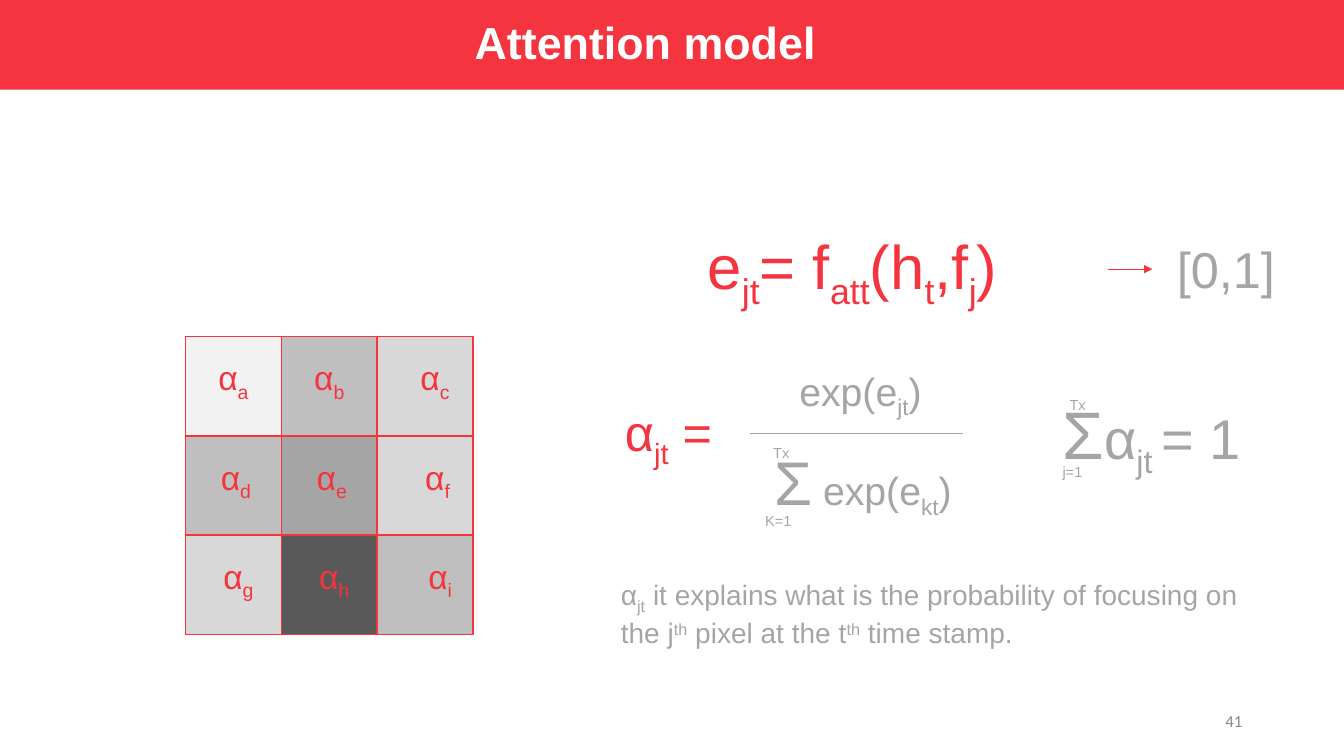
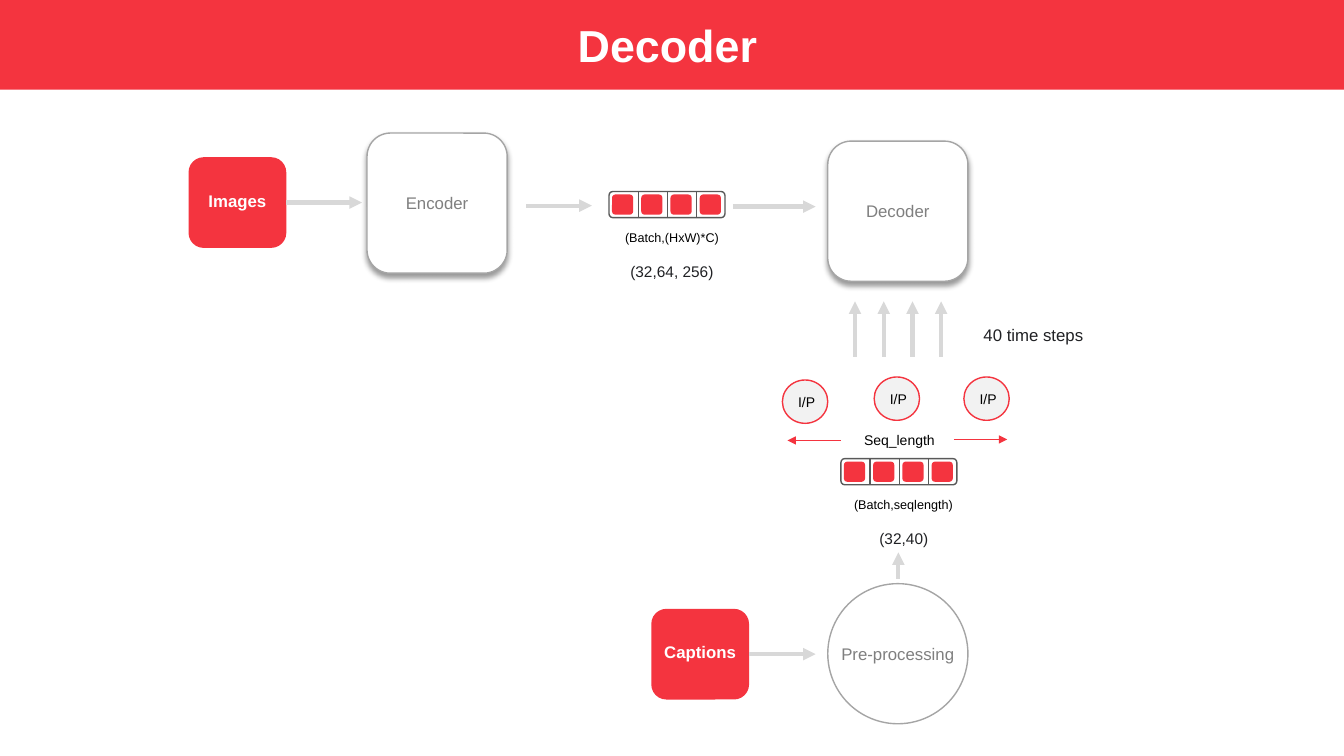
from dataclasses import dataclass
from lxml.etree import SubElement
from pptx import Presentation
from pptx.dml.color import RGBColor
from pptx.enum.shapes import MSO_CONNECTOR as Connector, MSO_SHAPE as Shape
from pptx.enum.text import MSO_ANCHOR as Anchor, MSO_AUTO_SIZE as AutoSize, PP_ALIGN as Align
from pptx.oxml.ns import qn
from pptx.util import Inches, Pt


@dataclass(frozen=True)
class Theme:
    red: str = "F4343F"
    white: str = "FFFFFF"
    black: str = "000000"
    ink: str = "202124"
    dark: str = "595959"
    label: str = "7F7F7F"
    number: str = "888888"
    formula: str = "A5A5A5"
    mid: str = "BFBFBF"
    light: str = "D8D8D8"
    pale: str = "F2F2F2"
    font: str = "Arial"
    number_font: str = "Calibri"
    title_size: int = 32
    equation_size: int = 44
    range_size: int = 36
    fraction_size: int = 28
    cell_size: int = 24
    body_size: int = 20
    limit_size: int = 18
    label_size: int = 12
    shape_size: int = 11
    input_size: int = 10
    axis_size: int = 9
    thin: float = 0.75
    outline: float = 1
    thick: float = 3


THEME = Theme()


def rgb(colour):
    return RGBColor.from_string(colour)


def write(frame, parts, colour, align=Align.LEFT, bold=False, font=THEME.font):
    # placeholder
    para = frame.paragraphs[0]
    para.alignment = align
    for size, markup in parts:
        for index, piece in enumerate(markup.replace("}", "{").split("{")):
            if not piece:
                continue
            span = para.add_run()
            span.text = piece.lstrip("^")
            span.font.name = font
            span.font.size = Pt(size)
            span.font.bold = bold
            span.font.color.rgb = rgb(colour)
            if index % 2:
                shift = "30000" if piece.startswith("^") else "-25000"
                span.font._element.set("baseline", shift)


def add_text(page, at, parts, colour, **style):
    box = page.shapes.add_textbox(*map(Inches, at))
    box.text_frame.word_wrap = True
    write(box.text_frame, parts, colour, **style)
    return box


def add_label(page, at, text, size, colour):
    return add_text(page, at, [(size, text)], colour, align=Align.CENTER)


def add_box(page, kind, at, fill=None, line=None, corner=None):
    box = page.shapes.add_shape(kind, *map(Inches, at))
    box.shadow.inherit = False
    if corner is not None:
        box.adjustments[0] = corner
    if fill:
        box.fill.solid()
        box.fill.fore_color.rgb = rgb(fill)
    else:
        box.fill.background()
    if line:
        box.line.color.rgb = rgb(line)
        box.line.width = Pt(THEME.outline)
    else:
        box.line.fill.background()
    return box


def fill_text(box, text, size, colour, bold=False, left=0, bottom=0):
    frame = box.text_frame
    frame.word_wrap = False
    frame.vertical_anchor = Anchor.MIDDLE
    frame.margin_right = frame.margin_top = 0
    frame.margin_left = Inches(left)
    frame.margin_bottom = Inches(bottom)
    write(frame, [(size, text)], colour, align=Align.CENTER, bold=bold)


def add_line(page, start, end, colour, width, arrow=False, source=None):
    line = page.shapes.add_connector(Connector.STRAIGHT, *map(Inches, (*start, *end)))
    line.line.color.rgb = rgb(colour)
    line.line.width = Pt(width)
    if arrow:
        SubElement(line.line._get_or_add_ln(), qn("a:tailEnd"), type="triangle")
    SubElement(line._element.spPr, qn("a:effectLst"))
    if source is not None:
        line.begin_connect(source, 3)
    return line


def add_flow(page, start, end, source=None):
    add_line(page, start, end, THEME.light, THEME.thick, arrow=True, source=source)


def add_shadow(box):
    effects = box._element.spPr.find(qn("a:effectLst"))
    shadow = SubElement(effects, qn("a:outerShdw"), blurRad=str(Pt(4)), dist=str(Pt(3)),
                        dir="5400000", algn="t", rotWithShape="0")
    colour = SubElement(shadow, qn("a:srgbClr"), val=THEME.black)
    SubElement(colour, qn("a:alpha"), val="40000")


def add_page(deck, title, left, top):
    page = deck.slides.add_slide(deck.slide_layouts[5])
    band = add_box(page, Shape.RECTANGLE, (0, 0, 13.33, 0.89), THEME.red)
    page.shapes._spTree.insert(2, band._element)
    heading = page.shapes.title
    heading.left, heading.top, heading.width, heading.height = map(Inches, (left, top, 8.42, 0.64))
    frame = heading.text_frame
    frame.auto_size = AutoSize.NONE
    frame.vertical_anchor = Anchor.TOP
    write(frame, [(THEME.title_size, title)], THEME.white, align=Align.CENTER, bold=True)
    return page


def add_weight_grid(page):
    shades = ((THEME.pale, THEME.mid, THEME.light),
              (THEME.mid, THEME.formula, THEME.light),
              (THEME.light, THEME.dark, THEME.mid))
    letters = ("abc", "def", "ghi")
    width, height = 0.95, 0.985
    for row, row_shades in enumerate(shades):
        for column, shade in enumerate(row_shades):
            at = (1.84 + column * width, 3.34 + row * height, width, height)
            cell = add_box(page, Shape.RECTANGLE, at, shade, THEME.red)
            indent = 0.05 * row + (0.2 if column == 2 else 0)
            fill_text(cell, f"α{{{letters[row][column]}}}", THEME.cell_size, THEME.red,
                      left=indent, bottom=0.12)


def add_vector(page, left, top):
    width, height, step = 1.15, 0.26, 0.29
    add_box(page, Shape.ROUNDED_RECTANGLE, (left, top, width, height), line=THEME.dark, corner=0.15)
    for index in range(4):
        x = left + index * step
        if index:
            add_line(page, (x, top), (x, top + height), THEME.dark, THEME.outline)
        add_box(page, Shape.ROUNDED_RECTANGLE, (x + 0.03, top + 0.03, 0.21, 0.2), THEME.red)


def add_source(page, left, top, text):
    box = add_box(page, Shape.ROUNDED_RECTANGLE, (left, top, 0.97, 0.9), THEME.red)
    fill_text(box, text, THEME.label_size, THEME.white, bold=True, bottom=0.04)
    return box


def add_stage(page, kind, left, top, text):
    box = add_box(page, kind, (left, top, 1.39, 1.39), THEME.white, THEME.formula)
    fill_text(box, text, THEME.label_size, THEME.label)
    return box


def build_attention(deck):
    page = add_page(deck, "Attention model", 2.19, 0.1)
    add_text(page, (5.61, 2.21, 5.69, 0.84),
             [(THEME.equation_size, "e{jt}= f{att}(h{t},f{j})")], THEME.red, align=Align.CENTER)
    add_label(page, (11.21, 2.31, 1.9, 0.71), "[0,1]", THEME.range_size, THEME.formula)
    add_line(page, (10.99, 2.67), (11.43, 2.67), THEME.red, THEME.thin, arrow=True)
    add_line(page, (7.44, 4.3), (9.55, 4.3), THEME.formula, THEME.thin)
    add_text(page, (6.1, 3.93, 1.29, 0.71), [(THEME.range_size, "α{jt} =")], THEME.red)
    formulas = (
        ((7.83, 3.59, 1.74, 0.57), [(THEME.fraction_size, "exp(e{jt})")]),
        ((7.58, 4.36, 2.2, 0.84),
         [(THEME.equation_size, "Σ"), (THEME.fraction_size, " exp(e{kt})")]),
        ((10.44, 3.84, 2.53, 0.91), [(48, "Σ"), (40, "α{jt }= 1")]),
        ((6.06, 5.68, 6.67, 1.11),
         [(THEME.body_size, "α{jt} it explains what is the probability of focusing on the j{^th}"
                            " pixel at the t{^th} time stamp.")]),
        ((7.49, 4.86, 0.63, 0.4), [(THEME.limit_size, "{K=1}")]),
        ((7.57, 4.19, 0.48, 0.4), [(THEME.limit_size, "{Tx}")]),
        ((10.44, 4.38, 0.57, 0.4), [(THEME.limit_size, "{j=1}")]),
        ((10.51, 3.71, 0.48, 0.4), [(THEME.limit_size, "{Tx}")]),
    )
    for at, parts in formulas:
        add_text(page, at, parts, THEME.formula)
    number = add_text(page, (9.42, 6.95, 3, 0.4), [(THEME.label_size, "41")], THEME.number,
                      align=Align.RIGHT, font=THEME.number_font)
    number.text_frame.vertical_anchor = Anchor.MIDDLE
    add_weight_grid(page)


def build_decoder(deck):
    page = add_page(deck, "Decoder", 2.41, 0.13)
    images = add_source(page, 1.87, 1.56, "Images")
    captions = add_source(page, 6.46, 6.04, "Captions")
    for left, top, text in ((3.64, 1.32, "Encoder"), (8.21, 1.4, "Decoder")):
        add_shadow(add_stage(page, Shape.ROUNDED_RECTANGLE, left, top, text))
    add_stage(page, Shape.OVAL, 8.21, 5.79, "Pre-processing")

    add_flow(page, (2.84, 2.01), (3.59, 2.01), images)
    add_flow(page, (7.43, 6.49), (8.09, 6.49), captions)
    add_flow(page, (5.22, 2.04), (5.87, 2.04))
    add_flow(page, (7.27, 2.05), (8.09, 2.05))
    add_flow(page, (8.91, 5.74), (8.91, 5.48))
    for index in range(4):
        x = 8.48 + index * 0.285
        add_flow(page, (x, 3.54), (x, 2.99))

    add_vector(page, 6.04, 1.9)
    add_vector(page, 8.34, 4.55)
    for start, end, y in ((8.34, 7.81, 4.37), (9.46, 9.99, 4.36)):
        add_line(page, (start, y), (end, y), THEME.red, THEME.thin, arrow=True)
    for left, top in ((7.76, 3.77), (8.67, 3.74), (9.56, 3.74)):
        circle = add_box(page, Shape.OVAL, (left, top, 0.45, 0.43), THEME.pale, THEME.red)
        fill_text(circle, "I/P", THEME.input_size, THEME.black, left=0.03)

    labels = (
        ((5.7, 2.23, 1.93, 0.25), "(Batch,(HxW)*C)", THEME.axis_size, THEME.black),
        ((5.7, 2.55, 1.93, 0.29), "(32,64, 256)", THEME.shape_size, THEME.ink),
        ((9.45, 3.17, 1.6, 0.3), "40 time steps", THEME.label_size, THEME.ink),
        ((7.9, 4.23, 2.04, 0.27), "Seq_length", THEME.input_size, THEME.black),
        ((7.9, 4.88, 2.12, 0.25), "(Batch,seqlength)", THEME.axis_size, THEME.black),
        ((8, 5.2, 1.93, 0.29), "(32,40)", THEME.shape_size, THEME.ink),
    )
    for label in labels:
        add_label(page, *label)


def main():
    deck = Presentation()
    deck.slide_width, deck.slide_height = Inches(13.33), Inches(7.5)
    build_attention(deck)
    build_decoder(deck)
    deck.save("out.pptx")


if __name__ == "__main__":
    main()
